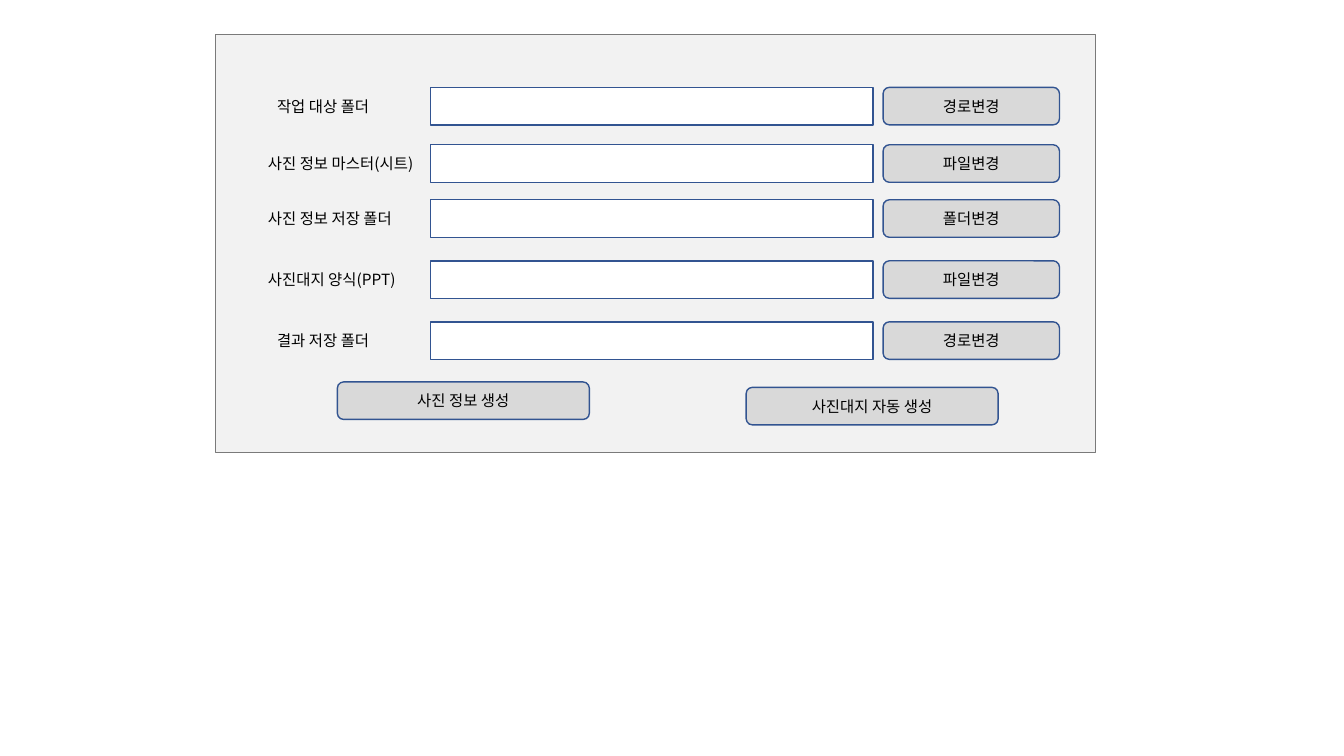
from lxml import etree
from pptx import Presentation
from pptx import util as u
from pptx.dml.color import RGBColor
from pptx.enum import shapes, text
from pptx.oxml import ns

BLACK = RGBColor(0x00, 0x00, 0x00)
WHITE = RGBColor(0xFF, 0xFF, 0xFF)
PANEL_FILL = RGBColor(0xF2, 0xF2, 0xF2)
PANEL_LINE = RGBColor(0x7A, 0x7A, 0x7A)
BUTTON_FILL = RGBColor(0xD9, 0xD9, 0xD9)
CONTROL_LINE = RGBColor(0x32, 0x54, 0x91)

CONTROL_HEIGHT = 26.8
FIELD_LEFT, FIELD_WIDTH = 307.3, 316.2
CHANGE_LEFT, CHANGE_WIDTH = 630.8, 126
CREATE_WIDTH = 180
LABEL_DROP, LABEL_HEIGHT = 3.1, 20.6

# top, label left, label width, label, change button
ROWS = [
    (62.4, 190.8, 108.7, "작업 대상 폴더", "경로변경"),
    (103.4, 184.3, 131.8, "사진 정보 마스터(시트)", "파일변경"),
    (142.7, 184.3, 131.8, "사진 정보 저장 폴더", "폴더변경"),
    (186.3, 184.3, 115.9, "사진대지 양식(PPT)", "파일변경"),
    (229.9, 190.8, 108.7, "결과 저장 폴더", "경로변경"),
]
# left, top, caption
CREATE_BUTTONS = [
    (241, 272.8, "사진 정보 생성"),
    (533, 276.7, "사진대지 자동 생성"),
]


class Form:
    font_name = "Noto Sans CJK KR"
    font_size = 11

    def __init__(self, slide):
        self.slide = slide

    def box(self, kind, left, top, width, height, fill, line):
        outline = self.slide.shapes.add_shape(
            kind, u.Pt(left), u.Pt(top), u.Pt(width), u.Pt(height))
        outline.shadow.inherit = False
        outline.fill.solid()
        outline.fill.fore_color.rgb = fill
        outline.line.color.rgb = line
        outline.line.width = u.Pt(1)
        return outline

    def set_wording(self, frame, wording, align):
        frame.word_wrap = True
        paragraph = frame.paragraphs[0]
        paragraph.text = wording
        paragraph.alignment = align
        paragraph.font.size = u.Pt(self.font_size)
        paragraph.font.color.rgb = BLACK
        paragraph.font.name = self.font_name
        defaults = paragraph._p.get_or_add_pPr().find(ns.qn("a:defRPr"))
        etree.SubElement(defaults, ns.qn("a:ea"), typeface=self.font_name)

    def panel(self, left, top, width, height):
        self.box(shapes.MSO_SHAPE.RECTANGLE, left, top, width, height,
                 PANEL_FILL, PANEL_LINE)

    def field(self, top):
        self.box(shapes.MSO_SHAPE.RECTANGLE, FIELD_LEFT, top, FIELD_WIDTH,
                 CONTROL_HEIGHT, WHITE, CONTROL_LINE)

    def button(self, left, top, width, caption):
        button = self.box(shapes.MSO_SHAPE.ROUNDED_RECTANGLE, left, top, width,
                          CONTROL_HEIGHT, BUTTON_FILL, CONTROL_LINE)
        button.text_frame.vertical_anchor = text.MSO_ANCHOR.MIDDLE
        self.set_wording(button.text_frame, caption, text.PP_ALIGN.CENTER)

    def label(self, left, top, width, wording):
        label = self.slide.shapes.add_textbox(
            u.Pt(left), u.Pt(top), u.Pt(width), u.Pt(LABEL_HEIGHT))
        label.text_frame.auto_size = text.MSO_AUTO_SIZE.SHAPE_TO_FIT_TEXT
        self.set_wording(label.text_frame, wording, text.PP_ALIGN.LEFT)


def main():
    deck = Presentation()
    deck.slide_width, deck.slide_height = u.Pt(960), u.Pt(540)
    form = Form(deck.slides.add_slide(deck.slide_layouts[6]))

    form.panel(154.1, 24.6, 628.6, 298.8)
    for top, label_left, label_width, label, change in ROWS:
        form.field(top)
        form.label(label_left, top + LABEL_DROP, label_width, label)
        form.button(CHANGE_LEFT, top, CHANGE_WIDTH, change)
    for left, top, caption in CREATE_BUTTONS:
        form.button(left, top, CREATE_WIDTH, caption)

    deck.save("out.pptx")


if __name__ == "__main__":
    main()
